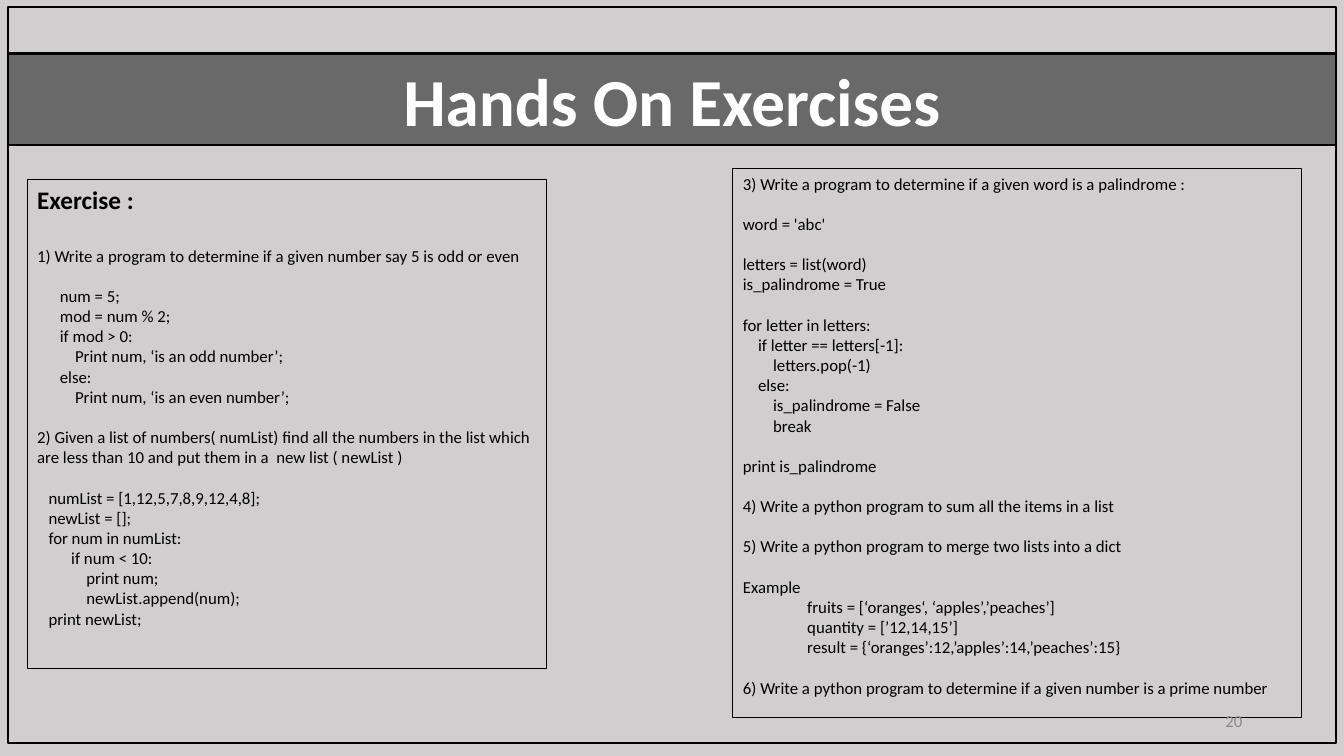
import pptx
import pptx.dml.color
import pptx.enum.shapes
import pptx.enum.text
import pptx.oxml
import pptx.oxml.ns
import pptx.util

Inches = pptx.util.Inches
Pt = pptx.util.Pt
Align = pptx.enum.text.PP_ALIGN
Anchor = pptx.enum.text.MSO_ANCHOR

LEFT_BLOCKS = [
    ["1) Write a program to determine if a given number say 5 is odd or even"],
    [
        "      num = 5;",
        "      mod = num % 2;",
        "      if mod > 0:",
        "          Print num, ‘is an odd number’;",
        "      else:",
        "          Print num, ‘is an even number’;",
    ],
    [
        "2) Given a list of numbers( numList) find all the numbers in the list "
        "which are less than 10 and put them in a  new list ( newList )"
    ],
    [
        "   numList = [1,12,5,7,8,9,12,4,8];",
        "   newList = [];",
        "   for num in numList:",
        "         if num < 10:",
        "             print num;",
        "             newList.append(num);",
        "   print newList;",
    ],
]

RIGHT_BLOCKS = [
    ["3) Write a program to determine if a given word is a palindrome :"],
    ["word = 'abc'"],
    ["letters = list(word)", "is_palindrome = True"],
    [
        "for letter in letters:",
        "    if letter == letters[-1]:",
        "        letters.pop(-1)",
        "    else:",
        "        is_palindrome = False",
        "        break",
    ],
    ["print is_palindrome"],
    ["4) Write a python program to sum all the items in a list"],
    ["5) Write a python program to merge two lists into a dict"],
    [
        "Example",
        "                 fruits = [‘oranges‘, ‘apples’,’peaches’]",
        "                 quantity = [’12,14,15’]",
        "                 result = {‘oranges’:12,’apples’:14,’peaches’:15}",
    ],
    ["6) Write a python program to determine if a given number is a prime number"],
]


def color(hex_value):
    return pptx.dml.color.RGBColor.from_string(hex_value)


class ExerciseSlide:
    font = "Calibri"
    ink = "000000"
    body_size = 12
    heading_size = 18
    block_gap = 14.4
    heading_gap = 22

    def __init__(self, presentation, background):
        self.slide = presentation.slides.add_slide(presentation.slide_layouts[5])
        self.slide.background.fill.solid()
        self.slide.background.fill.fore_color.rgb = color(background)

    def outline(self, shape, width):
        shape.line.color.rgb = color(self.ink)
        shape.line.width = Pt(width)

    def style(self, paragraph, size, hex_value, bold=False, align=Align.LEFT):
        paragraph.alignment = align
        for run in paragraph.runs:
            run.font.name = self.font
            run.font.size = Pt(size)
            run.font.bold = bold
            run.font.color.rgb = color(hex_value)

    def frame(self, left, top, width, height, line_width):
        shape = self.slide.shapes.add_shape(
            pptx.enum.shapes.MSO_SHAPE.RECTANGLE,
            Inches(left), Inches(top), Inches(width), Inches(height))
        shape.shadow.inherit = False
        shape.fill.background()
        self.outline(shape, line_width)
        return shape

    def title_band(self, text, left, top, width, height, opacity):
        title = self.slide.shapes.title
        title.left, title.top = Inches(left), Inches(top)
        title.width, title.height = Inches(width), Inches(height)
        title.fill.solid()
        title.fill.fore_color.rgb = color(self.ink)
        fill_color = title.fill._xPr.find(".//" + pptx.oxml.ns.qn("a:srgbClr"))
        fill_color.append(pptx.oxml.parse_xml(
            f'<a:alpha {pptx.oxml.ns.nsdecls("a")} val="{opacity * 1000}"/>'))
        self.outline(title, 1.75)
        title.text_frame.text = text
        title.text_frame.auto_size = pptx.enum.text.MSO_AUTO_SIZE.NONE
        title.text_frame.vertical_anchor = Anchor.MIDDLE
        self.style(title.text_frame.paragraphs[0], 48, "FFFFFF", True, Align.CENTER)

    def panel(self, left, top, width, height, blocks, heading=None):
        text_frame = self.frame(left, top, width, height, 0.75).text_frame
        text_frame.word_wrap = True
        text_frame.vertical_anchor = Anchor.TOP
        lines = [line for block in blocks for line in block]
        text_frame.text = "\n".join(([heading] if heading else []) + lines)
        paragraphs = iter(text_frame.paragraphs)
        gap = 0
        if heading:
            self.style(next(paragraphs), self.heading_size, self.ink, True)
            gap = self.heading_gap
        for block in blocks:
            for position in range(len(block)):
                paragraph = next(paragraphs)
                paragraph.space_before = Pt(0 if position else gap)
                self.style(paragraph, self.body_size, self.ink)
            gap = self.block_gap

    def page_number(self, text, left, top, width, height):
        box = self.slide.shapes.add_textbox(
            Inches(left), Inches(top), Inches(width), Inches(height))
        box.text_frame.word_wrap = True
        box.text_frame.vertical_anchor = Anchor.MIDDLE
        box.text_frame.text = text
        self.style(box.text_frame.paragraphs[0], 12, "8C8C8C", align=Align.RIGHT)


def main():
    presentation = pptx.Presentation()
    presentation.slide_width = Inches(13.33)
    presentation.slide_height = Inches(7.5)
    exercises = ExerciseSlide(presentation, "D0CECE")
    exercises.frame(0.08, 0.07, 13.17, 7.3, 1.75)
    exercises.title_band("Hands On Exercises", 0.08, 0.53, 13.17, 0.91, 49)
    exercises.panel(0.27, 1.78, 5.15, 4.85, LEFT_BLOCKS, "Exercise :")
    exercises.panel(7.27, 1.67, 5.64, 5.45, RIGHT_BLOCKS)
    exercises.page_number("20", 9.42, 6.95, 3, 0.4)
    presentation.save("out.pptx")


if __name__ == "__main__":
    main()
